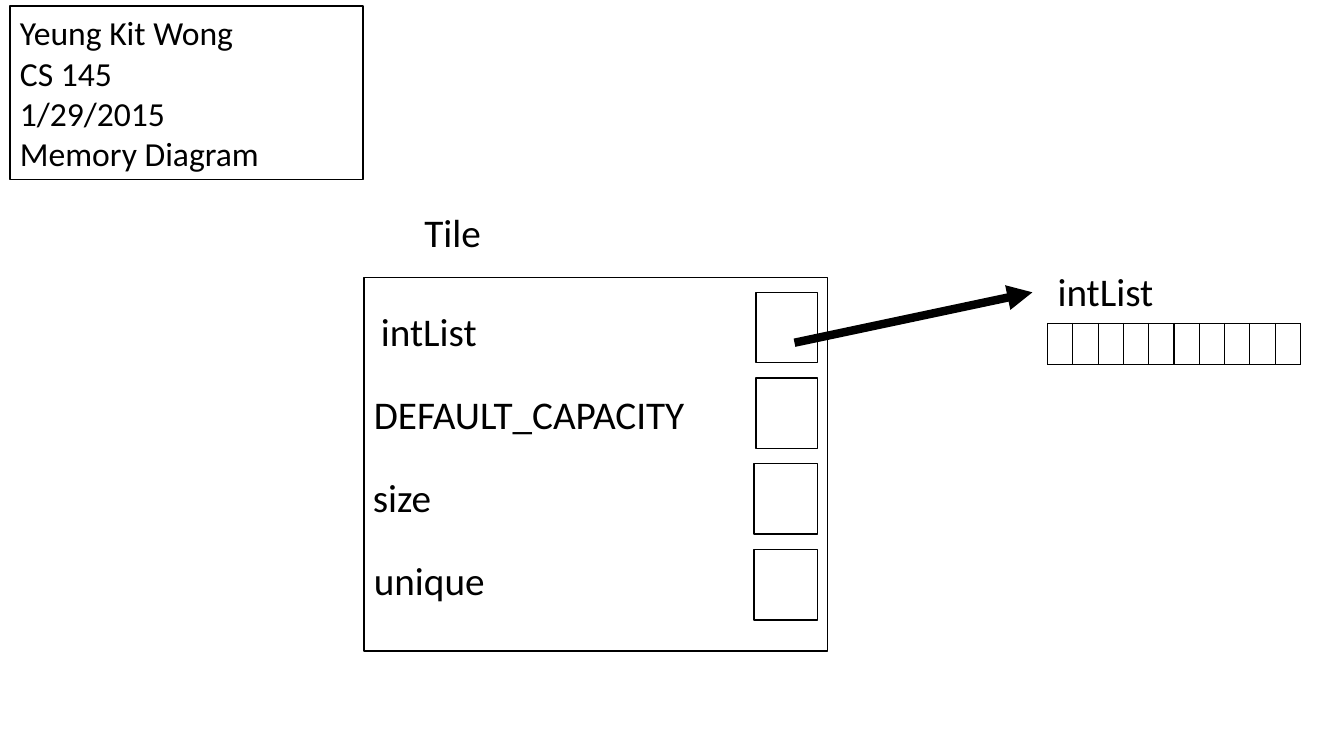
"""Build the memory diagram slide of a Tile object and its intList array."""
from lxml import etree
from pptx import Presentation
from pptx.dml.color import RGBColor
from pptx.enum import shapes, text
from pptx.oxml import ns
from pptx.util import Inches, Pt

BLACK = RGBColor(0x00, 0x00, 0x00)
WHITE = RGBColor(0xFF, 0xFF, 0xFF)
FONT = {"name": "Calibri"}
HEADER = ["Yeung Kit Wong", "CS 145", "1/29/2015", "Memory Diagram"]
FIELDS = [
    ("intList", 3.68, 7.5),
    ("DEFAULT_CAPACITY", 3.61, 7.5),
    ("size", 3.6, 7.48),
    ("unique", 3.61, 7.48),
]
FIELD_TOP, FIELD_STEP = 3, 0.823
BOX_TOP, BOX_STEP, BOX_RIGHT = 2.9, 0.85, 8.11
ARRAY_LENGTH = 10


def write_lines(frame, lines, size):
    """Write each line as a left-aligned paragraph."""
    for index, line in enumerate(lines):
        paragraph = frame.paragraphs[0] if index == 0 else frame.add_paragraph()
        paragraph.alignment = text.PP_ALIGN.LEFT
        run = paragraph.add_run()
        run.text = line
        for name, value in {**FONT, "size": Pt(size)}.items():
            setattr(run.font, name, value)
        run.font.color.rgb = BLACK


def add_label(slide, left, top, width, label):
    """Add a one-line text label."""
    shape = slide.shapes.add_textbox(*map(Inches, (left, top, width, 0.57)))
    shape.text_frame.word_wrap = True
    write_lines(shape.text_frame, [label], 28)


def add_box(slide, left, top, width, height, fill=None):
    """Add an outlined rectangle, hollow unless a fill is given."""
    shape = slide.shapes.add_shape(
        shapes.MSO_SHAPE.RECTANGLE, *map(Inches, (left, top, width, height)))
    shape.shadow.inherit = False
    if fill is None:
        shape.fill.background()
    else:
        shape.fill.solid()
        shape.fill.fore_color.rgb = fill
    shape.line.color.rgb = BLACK
    shape.line.width = Pt(1)
    return shape


def add_arrow(slide, start, end):
    """Add a thick pointer arrow."""
    arrow = slide.shapes.add_connector(
        shapes.MSO_CONNECTOR.STRAIGHT, *map(Inches, (*start, *end)))
    arrow.line.color.rgb = BLACK
    arrow.line.width = Pt(6)
    etree.SubElement(arrow.line._get_or_add_ln(), ns.qn("a:tailEnd"), type="triangle")
    etree.SubElement(arrow._element.spPr, ns.qn("a:effectLst"))


def add_border(cell):
    """Draw a thin line on all four sides of a cell."""
    properties = cell._tc.get_or_add_tcPr()
    for side in ("lnL", "lnR", "lnT", "lnB"):
        line = etree.SubElement(properties, ns.qn(f"a:{side}"), w=str(Pt(1)))
        fill = etree.SubElement(line, ns.qn("a:solidFill"))
        etree.SubElement(fill, ns.qn("a:srgbClr"), val=str(BLACK))


def add_array(slide, left, top, width, height):
    """Add an empty one-row table of equal cells."""
    table = slide.shapes.add_table(
        1, ARRAY_LENGTH, *map(Inches, (left, top, width, height))).table
    for name in ("first_row", "horz_banding"):
        setattr(table, name, False)
    for column in table.columns:
        column.width = Inches(width / ARRAY_LENGTH)
    for cell in table.iter_cells():
        add_border(cell)
        cell.fill.background()
        for name in ("margin_top", "margin_bottom"):
            setattr(cell, name, 0)


def main():
    """Build and save the slide."""
    presentation = Presentation()
    presentation.slide_width = Inches(13.33)
    presentation.slide_height = Inches(7.5)
    slide = presentation.slides.add_slide(presentation.slide_layouts[6])

    header = add_box(slide, 0.1, 0.06, 3.5, 1.72, WHITE)
    write_lines(header.text_frame, HEADER, 24)

    add_label(slide, 4.11, 2.02, 2.22, "Tile")
    add_box(slide, 3.61, 2.75, 4.6, 3.71)
    for row, (field, label_left, box_left) in enumerate(FIELDS):
        add_label(slide, label_left, FIELD_TOP + row * FIELD_STEP, 3.63, field)
        add_box(slide, box_left, BOX_TOP + row * BOX_STEP, BOX_RIGHT - box_left, 0.7)

    add_arrow(slide, (7.88, 3.4), (10.24, 2.9))
    add_label(slide, 10.39, 2.6, 2.22, "intList")
    add_array(slide, 10.39, 3.21, 2.51, 0.41)
    presentation.save("out.pptx")


main()
